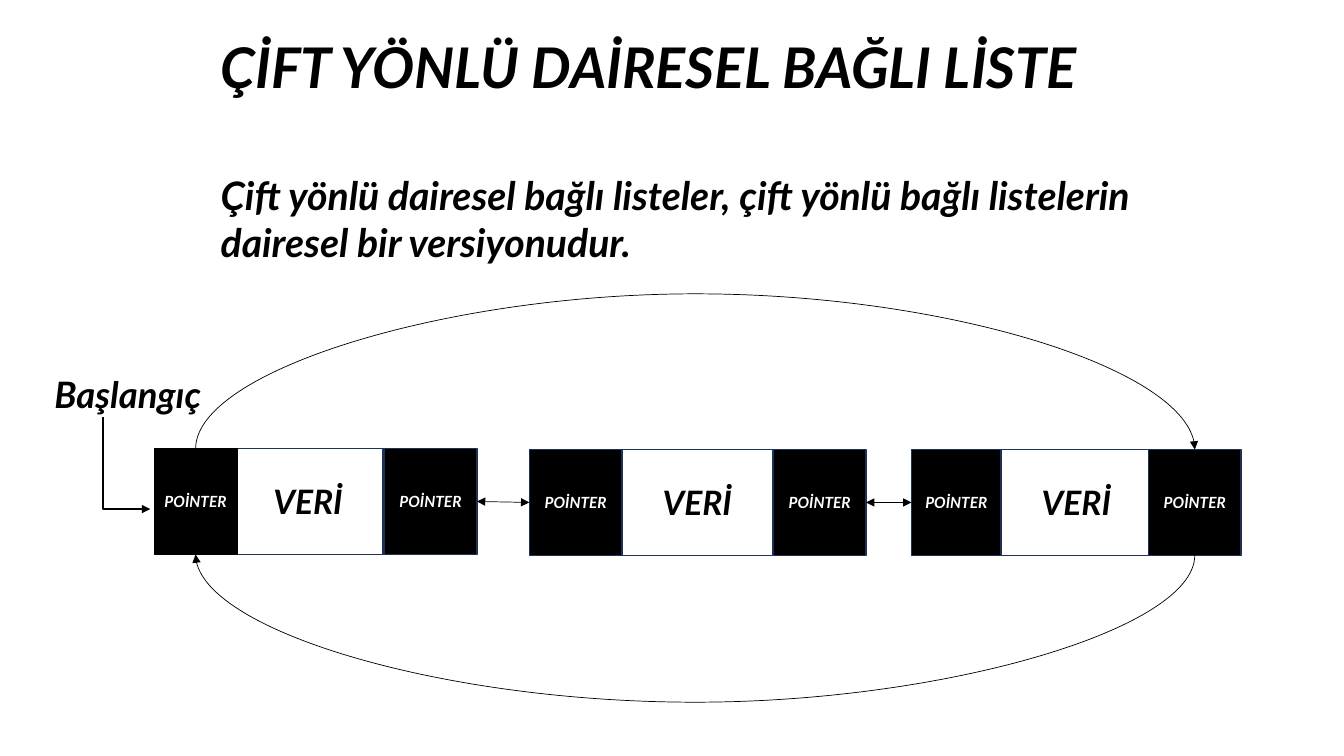
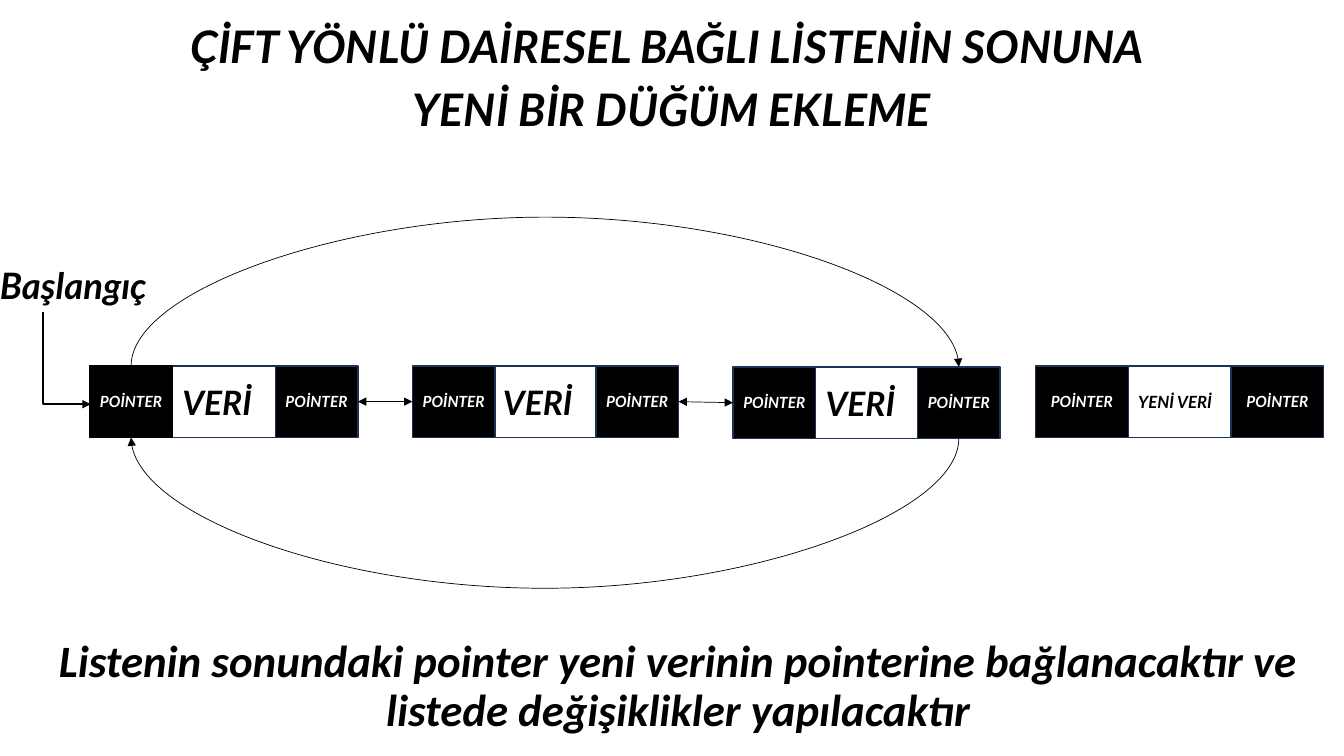
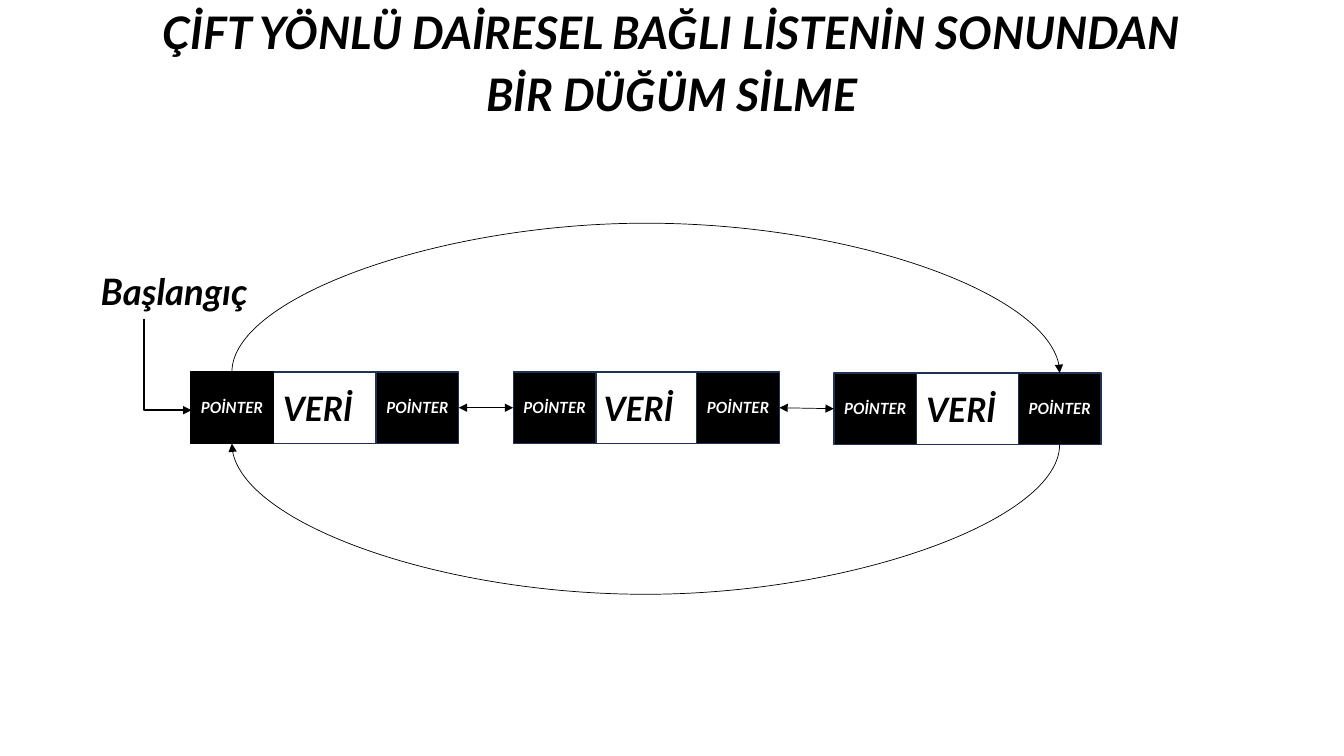
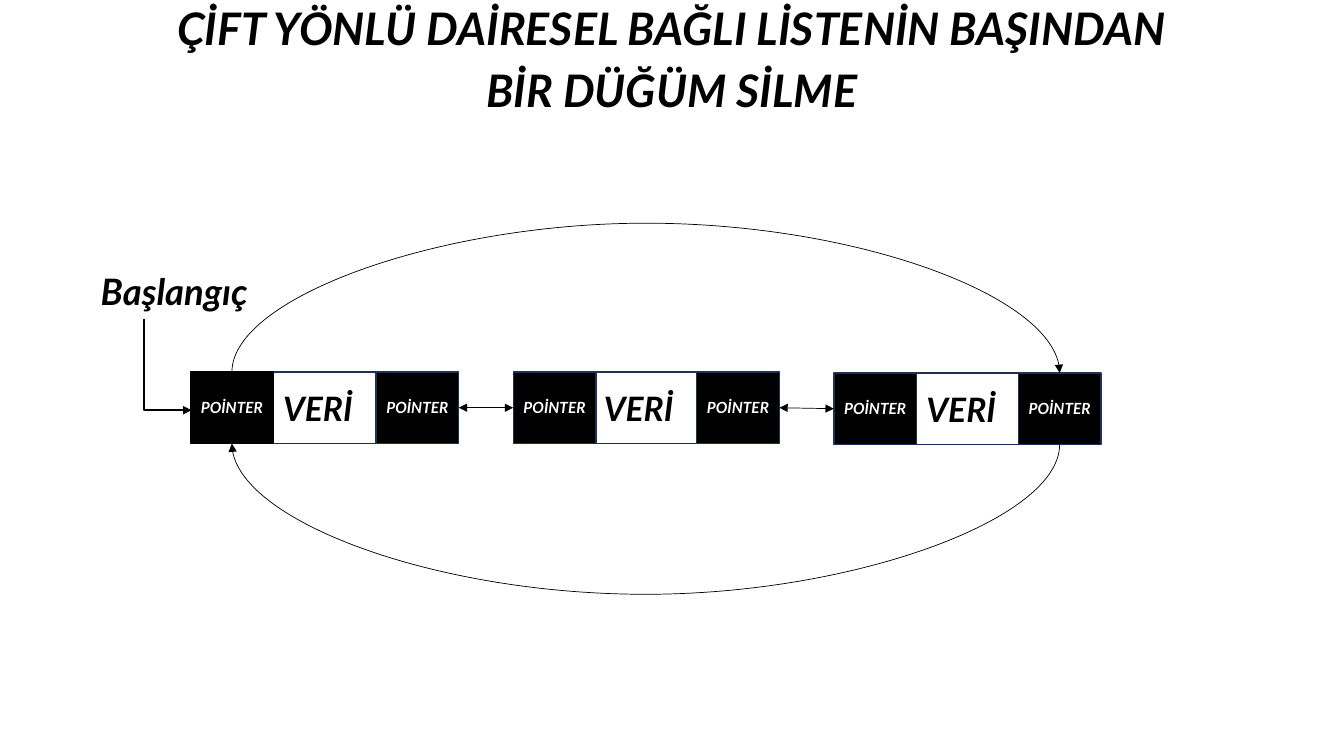
import pptx
import pptx.util
import pptx.dml.color
import pptx.enum.shapes
import pptx.enum.text
import pptx.oxml
import pptx.oxml.ns

PX = 9144  # EMU in one px, 100 px to the inch
COLORS = {"ink": "000000", "paper": "FFFFFF", "edge": "1E3256"}
FONT = "Lato"
ALIGN = pptx.enum.text.PP_ALIGN
KIND = pptx.enum.shapes.MSO_CONNECTOR
TOP, LEFT, BOTTOM, RIGHT = range(4)  # connection sites of a rectangle

# Each node: x and y offset, head width, data offset, tail offset
WIDE_CHAIN = {
    "nodes": [(0, 0, 82, 78, 228), (372, 1, 92, 92, 242), (751, 1, 89, 89, 235)],
    "pointer": 92, "data": 149, "height": 105, "align": ALIGN.CENTER,
    "label": (-109, -81), "entry": (-51, -31), "rise": 156, "sag": 148,
}
NARROW_CHAIN = {
    "nodes": [(0, 0, 82, 82, 184), (320, 0, 82, 80, 182), (638, 1, 82, 82, 183)],
    "pointer": 82, "data": 102, "height": 71, "align": ALIGN.JUSTIFY,
    "label": (-99, -107), "entry": (-46, -53), "rise": 150, "sag": 151,
}


def px(*lengths):
    return [round(length * PX) for length in lengths]


def color(name):
    return pptx.dml.color.RGBColor.from_string(COLORS[name])


def write(frame, text, size, ink="ink", font=FONT, align=ALIGN.LEFT,
          before=0, after=0, spacing=None):
    """Fill a text frame, one paragraph for each line of text."""
    frame.word_wrap = True
    for number, line in enumerate(text.split("\n")):
        paragraph = frame.add_paragraph() if number else frame.paragraphs[0]
        paragraph.alignment = align
        paragraph.space_before = pptx.util.Pt(before)
        paragraph.space_after = pptx.util.Pt(after)
        if spacing:
            paragraph.line_spacing = spacing
        run = paragraph.add_run()
        run.text = line
        run.font.name = font
        run.font.size = pptx.util.Pt(size)
        run.font.bold = run.font.italic = True
        run.font.color.rgb = color(ink)


def text_box(shapes, box, text, size, **style):
    write(shapes.add_textbox(*px(*box)).text_frame, text, size, **style)


def cell(shapes, box, text, size, fill, ink, edge="edge", align=ALIGN.CENTER):
    rect = shapes.add_shape(pptx.enum.shapes.MSO_SHAPE.RECTANGLE, *px(*box))
    rect.shadow.inherit = False
    rect.fill.solid()
    rect.fill.fore_color.rgb = color(fill)
    rect.line.color.rgb = color(edge)
    rect.line.width = pptx.util.Pt(1)
    rect.text_frame.vertical_anchor = pptx.enum.text.MSO_ANCHOR.MIDDLE
    write(rect.text_frame, text, size, ink=ink, align=align)
    return rect


def arrow(shapes, kind, start, end, width=0.5, both=False, glue=None):
    """Arrow between two points; glue is (shape, site, shape, site)."""
    line = shapes.add_connector(kind, *px(*start, *end))
    if glue:
        line.begin_connect(*glue[:2])
        line.end_connect(*glue[2:])
    line.line.color.rgb = color("ink")
    line.line.width = pptx.util.Pt(width)
    properties = line.element.spPr
    stroke = properties.find(pptx.oxml.ns.qn("a:ln"))
    for tip in ("headEnd", "tailEnd") if both else ("tailEnd",):
        stroke.append(pptx.oxml.parse_xml(
            f'<a:{tip} {pptx.oxml.ns.nsdecls("a")} type="triangle"/>'))
    properties.append(pptx.oxml.parse_xml(
        f'<a:effectLst {pptx.oxml.ns.nsdecls("a")}/>'))
    return line


def turned_arrow(shapes, kind, start, end, bend, **style):
    """Arrow that leaves vertically; bend is a share of its drop."""
    line = arrow(shapes, kind, start, end, **style)
    (x1, y1), (x2, y2) = start, end
    drop, span = abs(y2 - y1), abs(x2 - x1)
    line.left, line.top, line.width, line.height = px(
        (x1 + x2 - drop) / 2, (y1 + y2 - span) / 2, drop, span)
    properties = line.element.spPr
    frame = properties.find(pptx.oxml.ns.qn("a:xfrm"))
    frame.attrib.pop("flipV", None)
    frame.set("flipH", "1")
    frame.set("rot", str((270 if x2 > x1 else 90) * 60000))
    geometry = properties.find(pptx.oxml.ns.qn("a:prstGeom"))
    for old in list(geometry):
        geometry.remove(old)
    geometry.append(pptx.oxml.parse_xml(
        f'<a:avLst {pptx.oxml.ns.nsdecls("a")}>'
        f'<a:gd name="adj1" fmla="val {bend * 100000}"/></a:avLst>'))


def node(shapes, x, y, head_width, data_x, tail_x, pointer, data, height,
         text="VERİ", size=24, align=ALIGN.CENTER, head_edge="edge"):
    """Data cell between two pointer cells; returns the pointer cells."""
    cell(shapes, (x + data_x, y, data, height), text, size, "paper", "ink", align=align)
    tail = cell(shapes, (x + tail_x, y, pointer, height), "POİNTER", 11, "ink", "paper")
    head = cell(shapes, (x, y, head_width, height), "POİNTER", 11, "ink", "paper",
                edge=head_edge)
    return head, tail


def chain(slide, x, y, plan):
    """Circular list of three nodes, placed from its top left corner."""
    shapes = slide.shapes.add_group_shape().shapes
    height = plan["height"]

    # Start label and its arrow
    label_x, label_y = plan["label"]
    text_box(shapes, (x + label_x, y + label_y, 228, 54), "Başlangıç", 26)
    entry_x, entry_y = x + plan["entry"][0], y + plan["entry"][1]
    turned_arrow(shapes, KIND.ELBOW, (entry_x, entry_y), (entry_x + 47, entry_y + 91),
                 1, width=1.5)

    # Nodes
    nodes = [node(shapes, x + dx, y + dy, *parts, plan["pointer"], plan["data"], height,
                  align=plan["align"], head_edge="edge" if dx else "ink")
             for dx, dy, *parts in plan["nodes"]]

    # Links between neighbours
    for (_, tail), (head, _) in zip(nodes, nodes[1:]):
        arrow(shapes, KIND.STRAIGHT, (x, y), (x, y), both=True,
              glue=(tail, RIGHT, head, LEFT))

    # Arcs that close the circle
    first, last = nodes[0][0], nodes[-1][1]
    last_x, last_y, _, _, tail_x = plan["nodes"][-1]
    first_mid = x + plan["nodes"][0][2] // 2
    last_mid = x + last_x + tail_x + plan["pointer"] // 2
    turned_arrow(shapes, KIND.CURVE, (first_mid, y), (last_mid, y + last_y),
                 -plan["rise"], glue=(first, TOP, last, TOP))
    turned_arrow(shapes, KIND.CURVE, (last_mid, y + last_y + height),
                 (first_mid, y + height), -plan["sag"],
                 glue=(last, BOTTOM, first, BOTTOM))


def definition_slide(slide):
    text_box(slide.shapes, (209, 27, 996, 138), "ÇİFT YÖNLÜ DAİRESEL BAĞLI LİSTE", 40,
             after=6)
    text_box(slide.shapes, (209, 165, 996, 398),
             "Çift yönlü dairesel bağlı listeler, çift yönlü bağlı listelerin "
             "dairesel bir versiyonudur.", 28, before=10)
    chain(slide, 153, 445, WIDE_CHAIN)


def operation_slide(slide, title, title_y, x, y):
    text_box(slide.shapes, (0, title_y, 1333, 138), title, 32, align=ALIGN.CENTER, after=6)
    chain(slide, x, y, NARROW_CHAIN)


def new_node(slide, x, y):
    """Node waiting to be added, with the sentence that explains it."""
    shapes = slide.shapes.add_group_shape().shapes
    node(shapes, x, y, 92, 92, 194, 92, 102, 71, text="YENİ VERİ", size=12,
         align=ALIGN.JUSTIFY)
    text_box(slide.shapes, (-7, 629, 1360, 108),
             "Listenin sonundaki pointer yeni verinin pointerine bağlanacaktır ve "
             "listede değişiklikler yapılacaktır", 32, font="Calibri",
             align=ALIGN.CENTER, before=10, spacing=0.9)


def main():
    deck = pptx.Presentation()
    deck.slide_width, deck.slide_height = px(1333, 750)
    slides = [deck.slides.add_slide(deck.slide_layouts[6]) for _ in range(4)]
    definition, insertion, last_removal, first_removal = slides

    definition_slide(definition)
    operation_slide(insertion, "ÇİFT YÖNLÜ DAİRESEL BAĞLI LİSTENİN SONUNA \n"
                    "YENİ BİR DÜĞÜM EKLEME", 14, 89, 363)
    new_node(insertion, 1027, 363)
    operation_slide(last_removal, "ÇİFT YÖNLÜ DAİRESEL BAĞLI LİSTENİN SONUNDAN\n"
                    "BİR DÜĞÜM SİLME", 0, 189, 369)
    operation_slide(first_removal, "ÇİFT YÖNLÜ DAİRESEL BAĞLI LİSTENİN BAŞINDAN\n"
                    "BİR DÜĞÜM SİLME", -4, 189, 369)
    deck.save("out.pptx")


if __name__ == "__main__":
    main()
